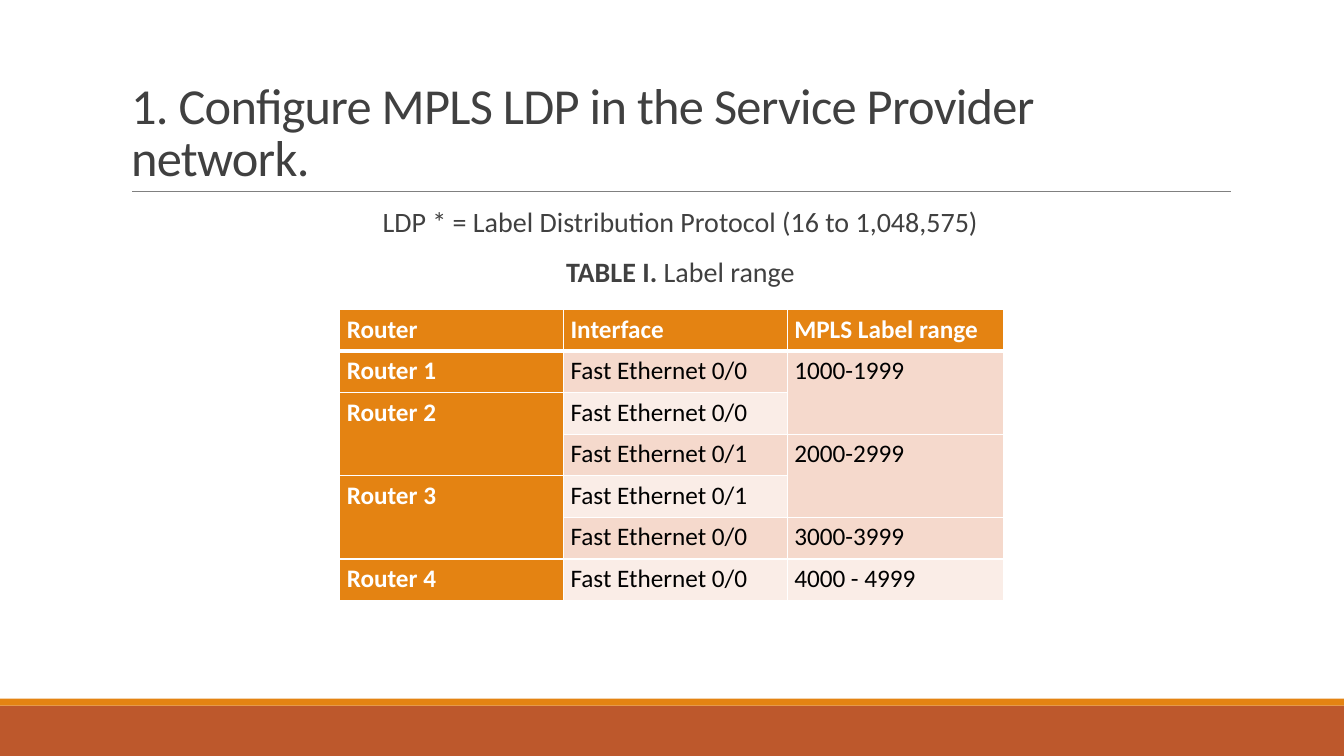
from lxml.etree import SubElement
from pptx import Presentation
from pptx.dml.color import RGBColor as Rgb
from pptx.enum.shapes import MSO_CONNECTOR as Connector, MSO_SHAPE as Shape
from pptx.enum.text import MSO_ANCHOR as Anchor, PP_ALIGN as Align
from pptx.oxml.ns import qn
from pptx.util import Inches, Pt

WIDTH, HEIGHT = Inches(13.33), Inches(7.5)
COLORS = {"rust": "BD582C", "orange": "E48312", "rule": "808080", "text": "404040",
          "white": "FFFFFF", "black": "000000", "odd": "F5D9CC", "even": "FAEDE7"}
COLUMN_SHARES = (16.65, 16.65, 16.13)
LABEL_RANGES = (
    ("Router", "Interface", "MPLS Label range"),
    ("Router 1", "Fast Ethernet 0/0", "1000-1999"),
    ("Router 2", "Fast Ethernet 0/0", None),
    (None, "Fast Ethernet 0/1", "2000-2999"),
    ("Router 3", "Fast Ethernet 0/1", None),
    (None, "Fast Ethernet 0/0", "3000-3999"),
    ("Router 4", "Fast Ethernet 0/0", "4000 - 4999"),
)


def color(name):
    """Look up a named colour."""
    return Rgb.from_string(COLORS[name])


def across(percent):
    """Turn a share of the slide's width into a length."""
    return round(WIDTH * percent / 100)


def down(percent):
    """Turn a share of the slide's height into a length."""
    return round(HEIGHT * percent / 100)


def area(left, top, width, height):
    """Turn four percentages into a position and a size."""
    return across(left), down(top), across(width), down(height)


def set_margins(target, side, end):
    """Set the side and the end margins of a text frame or cell."""
    target.margin_left = target.margin_right = Inches(side)
    target.margin_top = target.margin_bottom = Inches(end)


def write(paragraph, text, size=18, ink="text", bold=False, align=Align.LEFT,
          line=0.9, before=0, after=0, tracking=None):
    """Add a formatted run to a paragraph."""
    paragraph.alignment, paragraph.line_spacing = align, line
    paragraph.space_before, paragraph.space_after = Pt(before), Pt(after)
    run = paragraph.add_run()
    run.text = text
    run.font.name, run.font.size, run.font.bold = "Calibri", Pt(size), bold
    run.font.color.rgb = color(ink)
    if tracking is not None:
        run.font._element.set("spc", str(round(tracking * 100)))


def add_band(slide, fill, top, height):
    """Draw a footer band over the full slide width."""
    band = slide.shapes.add_shape(Shape.RECTANGLE, *area(0, top, 100, height))
    band.shadow.inherit = False
    band.fill.solid()
    band.fill.fore_color.rgb = color(fill)
    band.line.fill.background()


def add_rule(slide, left, right, top):
    """Draw the thin rule under the title."""
    rule = slide.shapes.add_connector(
        Connector.STRAIGHT, across(left), down(top), across(right), down(top))
    rule.line.color.rgb = color("rule")
    rule.line.width = Pt(0.5)
    SubElement(rule._element.spPr, qn("a:effectLst"))


def set_title(slide, text):
    """Place and fill the title placeholder."""
    title = slide.shapes.title
    title.left, title.top, title.width, title.height = area(9, 4.13, 82.5, 21.2)
    frame = title.text_frame
    frame.word_wrap, frame.vertical_anchor = True, Anchor.BOTTOM
    set_margins(frame, 0.1, 0.05)
    write(frame.paragraphs[0], text, size=36, line=0.85, tracking=-0.5)


def add_captions(slide, captions):
    """Add centred captions, each made of text and bold pairs."""
    frame = slide.shapes.add_textbox(*area(9, 26.93, 82.5, 58.67)).text_frame
    frame.word_wrap = True
    set_margins(frame, 0, 0.05)
    for index, caption in enumerate(captions):
        paragraph = frame.add_paragraph() if index else frame.paragraphs[0]
        paragraph._p.get_or_add_pPr().set("marL", str(Inches(0.1)))
        for text, bold in caption:
            write(paragraph, text, size=20, bold=bold, align=Align.CENTER,
                  before=12, after=2)


def add_border(cell, side, width):
    """Give one side of a cell a white border."""
    border = SubElement(cell._tc.get_or_add_tcPr(), qn(f"a:ln{side}"), w=str(Pt(width)))
    fill = SubElement(border, qn("a:solidFill"))
    SubElement(fill, qn("a:srgbClr"), val=COLORS["white"])


def format_cell(cell, row, column):
    """Apply the borders, fill and margins of a cell."""
    heavy_sides = {0: "B", 1: "T"}
    for side in "LRTB":
        add_border(cell, side, 3 if heavy_sides.get(row) == side else 1)
    heading = row == 0 or column == 0
    cell.fill.solid()
    cell.fill.fore_color.rgb = color("orange" if heading else "odd" if row % 2 else "even")
    set_margins(cell, 0.07, 0)


def add_label_table(slide, records):
    """Add the label table, merging each None into the cell above."""
    table = slide.shapes.add_table(
        len(records), len(COLUMN_SHARES), *area(25.28, 40.93, 49.43, 38.53)).table
    for column, share in zip(table.columns, COLUMN_SHARES):
        column.width = across(share)
    for row, record in enumerate(records):
        for column, text in enumerate(record):
            cell = table.cell(row, column)
            format_cell(cell, row, column)
            if text is None:
                table.cell(row - 1, column).merge(cell)
                continue
            heading = row == 0 or column == 0
            write(cell.text_frame.paragraphs[0], text, bold=heading,
                  ink="white" if heading else "black",
                  align=Align.JUSTIFY, line=1.15, after=6)


def main():
    """Build and save the slide."""
    deck = Presentation()
    deck.slide_width, deck.slide_height = WIDTH, HEIGHT
    slide = deck.slides.add_slide(deck.slide_layouts[5])
    add_band(slide, "rust", 93.33, 6.67)
    add_band(slide, "orange", 92.4, 0.93)
    add_rule(slide, 9.83, 91.6, 25.33)
    set_title(slide, "1. Configure MPLS LDP in the Service Provider network.")
    add_captions(slide, (
        (("LDP * = Label Distribution Protocol (16 to 1,048,575)", False),),
        (("TABLE I.", True), (" Label range", False)),
    ))
    add_label_table(slide, LABEL_RANGES)
    deck.save("out.pptx")


if __name__ == "__main__":
    main()
